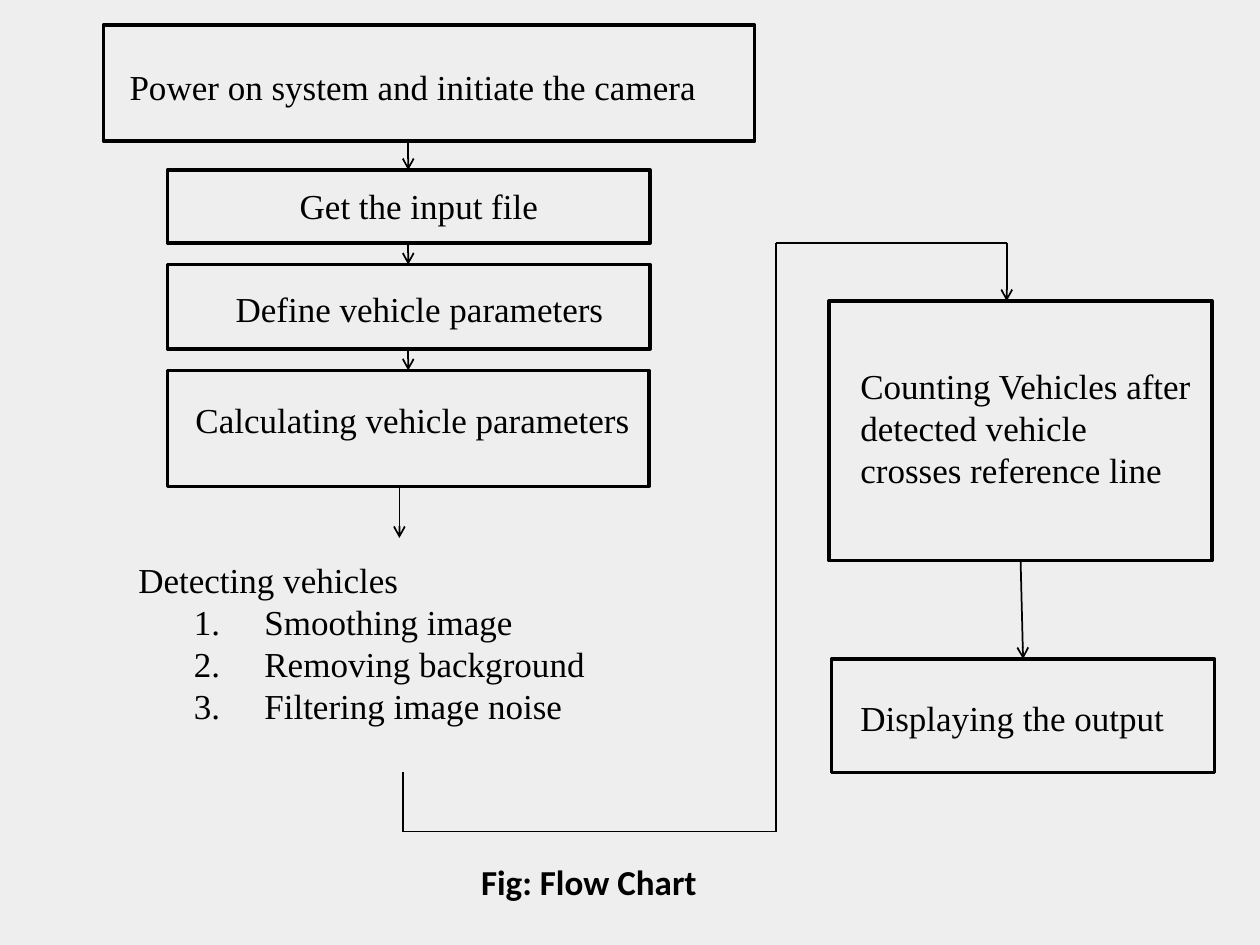
from lxml import etree
from pptx import Presentation
from pptx.dml.color import RGBColor
from pptx.enum.shapes import MSO_CONNECTOR, MSO_SHAPE
from pptx.enum.text import MSO_ANCHOR, PP_ALIGN
from pptx.oxml.ns import qn
from pptx.util import Inches, Pt

LEFT, CENTER = PP_ALIGN.LEFT, PP_ALIGN.CENTER
TOP, BOTTOM = MSO_ANCHOR.TOP, MSO_ANCHOR.BOTTOM
STRAIGHT = MSO_CONNECTOR.STRAIGHT
RECTANGLE = MSO_SHAPE.RECTANGLE
COLORS = {"background": "EEEEEE", "ink": "000000"}
BODY_FONT, CAPTION_FONT = "Times New Roman", "Calibri"


def color(name):
    return RGBColor.from_string(COLORS[name])


def add_frame(slide, x, y, width, height):
    frame = slide.shapes.add_shape(
        RECTANGLE, Inches(x), Inches(y), Inches(width), Inches(height))
    frame.shadow.inherit = False
    frame.fill.background()
    frame.line.color.rgb = color("ink")
    frame.line.width = Pt(2)


def add_label(slide, x, y, width, height, text, align=LEFT, anchor=TOP,
              font=BODY_FONT, bold=False):
    label = slide.shapes.add_textbox(
        Inches(x), Inches(y), Inches(width), Inches(height))
    frame = label.text_frame
    frame.word_wrap = True
    frame.vertical_anchor = anchor
    frame.text = text
    for paragraph in frame.paragraphs:
        paragraph.alignment = align
        for run in paragraph.runs:
            run.font.name = font
            run.font.size = Pt(20)
            run.font.bold = bold
            run.font.color.rgb = color("ink")
    return frame


def add_line(slide, start, end, arrow=False):
    line = slide.shapes.add_connector(
        STRAIGHT, *(Inches(value) for value in (*start, *end)))
    line.line.color.rgb = color("ink")
    line.line.width = Pt(1)
    if arrow:
        outline = line.line._get_or_add_ln()
        etree.SubElement(outline, qn("a:tailEnd"), type="arrow")
    etree.SubElement(line._element.spPr, qn("a:effectLst"))


def number_paragraph(paragraph):
    properties = paragraph._p.get_or_add_pPr()
    properties.set("marL", str(Inches(1)))
    properties.set("indent", str(Inches(-0.56)))
    etree.SubElement(properties, qn("a:buFont"), typeface="+mj-lt")
    etree.SubElement(properties, qn("a:buAutoNum"), type="arabicPeriod")


def add_preparation(slide, x, y):
    """Four framed steps on the left, joined by arrows."""
    # Frame, then label box and alignment, as offsets from the region's corner
    steps = [
        ("Power on system and initiate the camera",
         (0, 0, 5.17, 0.92), (0.11, 0.27, 4.8, 0.44), LEFT, TOP),
        ("Get the input file",
         (0.51, 1.15, 3.83, 0.58), (0.9, 1.23, 3.21, 0.42), CENTER, BOTTOM),
        ("Define vehicle parameters",
         (0.51, 1.9, 3.83, 0.67), (0.76, 2.03, 3.5, 0.74), CENTER, TOP),
        ("Calculating vehicle parameters",
         (0.51, 2.74, 3.82, 0.92), (0.58, 2.91, 3.75, 0.74), CENTER, TOP),
    ]
    for text, (fx, fy, fw, fh), (tx, ty, tw, th), align, anchor in steps:
        add_frame(slide, x + fx, y + fy, fw, fh)
        add_label(slide, x + tx, y + ty, tw, th, text, align, anchor)

    # Arrows across the gaps between frames
    arrow_x = x + 2.42
    for (_, upper, *_), (_, lower, *_) in zip(steps, steps[1:]):
        add_line(slide, (arrow_x, y + upper[1] + upper[3]),
                 (arrow_x, y + lower[1]), arrow=True)


def add_detection(slide, x, y):
    """Unframed detection step with its numbered stages."""
    add_line(slide, (x + 2.17, y - 0.53), (x + 2.17, y - 0.11), arrow=True)
    stages = ["Detecting vehicles", "Smoothing image",
              "Removing background", "Filtering image noise"]
    frame = add_label(slide, x, y, 4.4, 1.75, "\n".join(stages))
    for paragraph in frame.paragraphs[1:]:
        paragraph.level = 1
        number_paragraph(paragraph)


def add_route(slide, x, y, width, height):
    """Line from detection, round the column, to the counting step."""
    bend_x, bottom = x + 2.96, y + height
    points = [(x, bottom - 0.47), (x, bottom), (bend_x, bottom),
              (bend_x, y), (x + width, y), (x + width, y + 0.46)]
    for start, end in zip(points, points[1:]):
        add_line(slide, start, end, arrow=end == points[-1])


def add_results(slide, x, y):
    """Counting and output steps on the right."""
    add_frame(slide, x, y, 3.04, 2.06)
    add_label(slide, x + 0.15, y + 0.45, 2.83, 1.41,
              "Counting Vehicles after detected vehicle crosses reference line")
    add_frame(slide, x + 0.02, y + 2.84, 3.04, 0.9)
    add_label(slide, x + 0.15, y + 3.09, 2.77, 0.44, "Displaying the output")
    add_line(slide, (x + 1.52, y + 2.06), (x + 1.54, y + 2.84), arrow=True)


def add_caption(slide, x, y):
    add_label(slide, x, y, 2.26, 0.44, "Fig: Flow Chart",
              font=CAPTION_FONT, bold=True)


def main():
    deck = Presentation()
    deck.slide_width, deck.slide_height = Inches(10), Inches(7.5)
    slide = deck.slides.add_slide(deck.slide_layouts[6])
    slide.background.fill.solid()
    slide.background.fill.fore_color.rgb = color("background")

    add_preparation(slide, 0.82, 0.2)
    add_detection(slide, 1, 4.38)
    add_results(slide, 6.58, 2.39)
    add_route(slide, 3.2, 1.93, 4.79, 4.67)
    add_caption(slide, 3.72, 6.78)
    deck.save("out.pptx")


if __name__ == "__main__":
    main()
